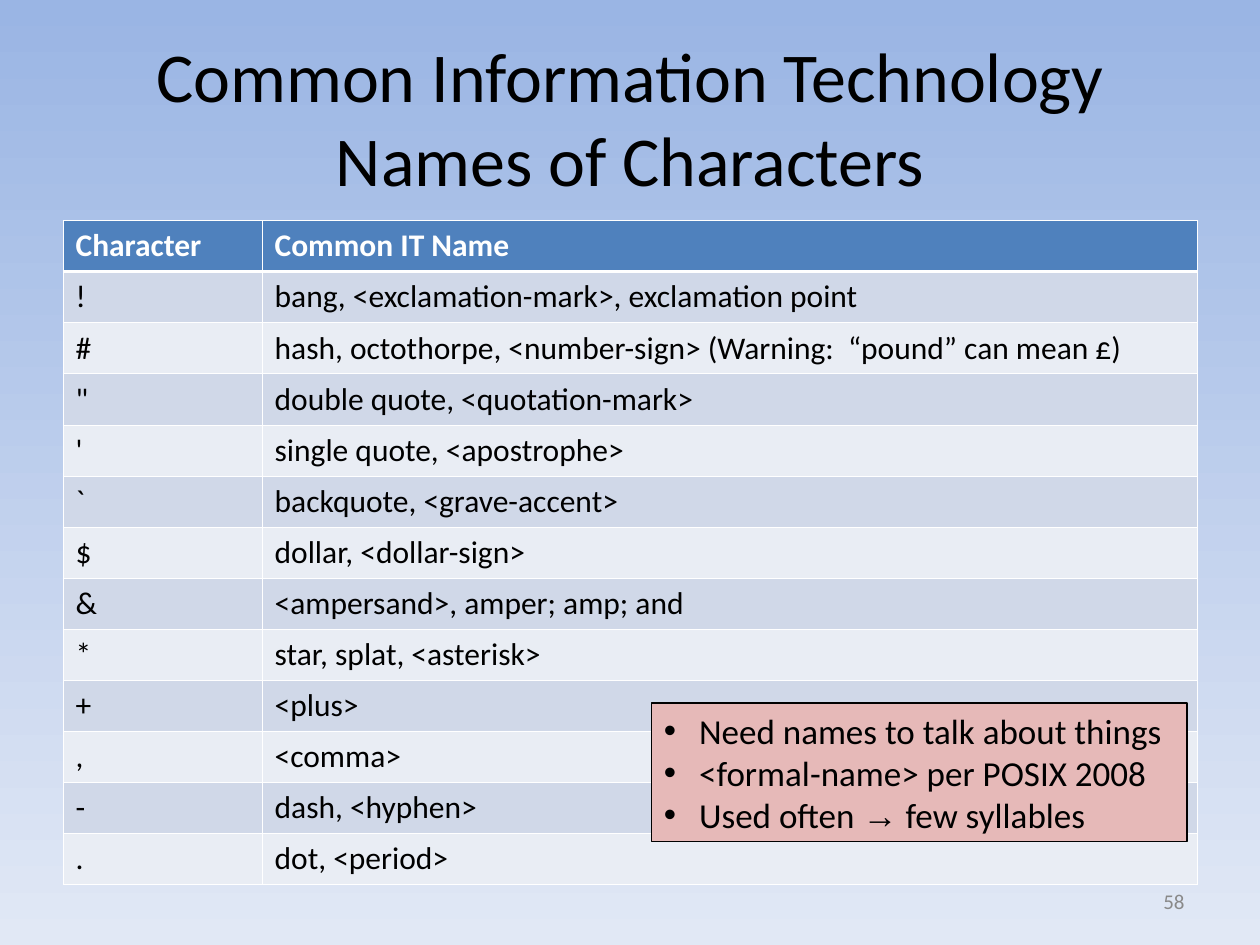
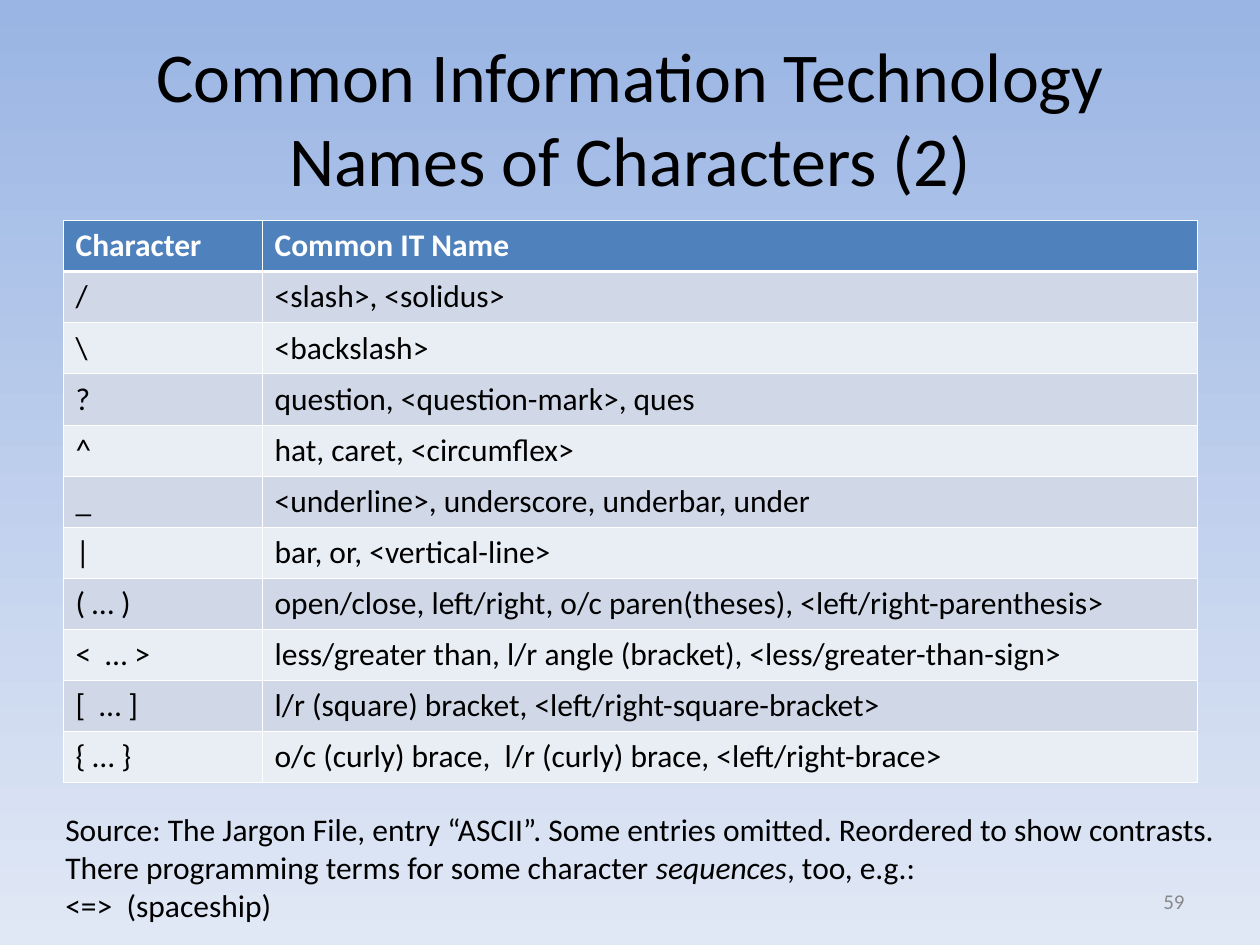
from pptx import Presentation
from pptx.dml.color import RGBColor
from pptx.enum.shapes import MSO_SHAPE as Shape
from pptx.enum.text import MSO_ANCHOR as Anchor, MSO_AUTO_SIZE as Fit, PP_ALIGN as Align
from pptx.oxml.ns import qn
from pptx.util import Inches, Pt
from lxml.etree import SubElement

# Shared style
BLACK = RGBColor(0x00, 0x00, 0x00)
WHITE = RGBColor(0xFF, 0xFF, 0xFF)
GRAY = RGBColor(0x89, 0x89, 0x89)
SKY = RGBColor(0x9A, 0xB5, 0xE4)
MIST = RGBColor(0xE1, 0xE8, 0xF5)
HEAD = RGBColor(0x4F, 0x81, 0xBD)
BANDS = [RGBColor(0xE9, 0xED, 0xF4), RGBColor(0xD0, 0xD8, 0xE8)]
PINK = RGBColor(0xE6, 0xB9, 0xB8)
FONT = "Calibri"
HAIR, THICK = 0.45, 1.47
ROW = 0.405
COLS = [1.58, 7.42]
LABELS = ("Character", "Common IT Name")

# Page number, title and table rows of each slide
PAGES = [
    (58, "Common Information Technology Names of Characters", [
        ("!", "bang, <exclamation-mark>, exclamation point"),
        ("#", "hash, octothorpe, <number-sign> (Warning:  “pound” can mean £)"),
        ('"', "double quote, <quotation-mark>"),
        ("'", "single quote, <apostrophe>"),
        ("`", "backquote, <grave-accent>"),
        ("$", "dollar, <dollar-sign>"),
        ("&", "<ampersand>, amper; amp; and"),
        ("*", "star, splat, <asterisk>"),
        ("+", "<plus>"),
        (",", "<comma>"),
        ("-", "dash, <hyphen>"),
        (".", "dot, <period>"),
    ]),
    (59, "Common Information Technology Names of Characters (2)", [
        ("/", "<slash>, <solidus>"),
        ("\\", "<backslash>"),
        ("?", "question, <question-mark>, ques"),
        ("^", "hat, caret, <circumflex>"),
        ("_", "<underline>, underscore, underbar, under"),
        ("|", "bar, or, <vertical-line>"),
        ("( … )", "open/close, left/right, o/c paren(theses), <left/right-parenthesis>"),
        ("<  … >", "less/greater than, l/r angle (bracket), <less/greater-than-sign>"),
        ("[  … ]", "l/r (square) bracket, <left/right-square-bracket>"),
        ("{ … }", "o/c (curly) brace,  l/r (curly) brace, <left/right-brace>"),
    ]),
]

POINTS = [
    ["Need names to talk about things"],
    ["<formal-name> per POSIX 2008"],
    ["Used often ", "→", " few syllables"],
]
NOTES = [
    ["Source: The Jargon File, entry “ASCII”. Some entries omitted. Reordered to show contrasts."],
    ["There programming terms for some character ", "sequences", ", too, e.g.:"],
    ["<=>  (spaceship)"],
]


def add_run(par, text, size, color=BLACK, bold=False):
    run = par.add_run()
    run.text = text
    run.font.name = "Arial" if text == "→" else FONT
    run.font.size = Pt(size)
    run.font.color.rgb = color
    run.font.bold = bold
    run.font.italic = text == "sequences"


def add_edge(cell, side, width):
    line = SubElement(cell._tc.get_or_add_tcPr(), qn("a:ln" + side), w=str(Pt(width)))
    fill = SubElement(line, qn("a:solidFill"))
    SubElement(fill, qn("a:srgbClr"), val=str(WHITE))


deck = Presentation()
deck.slide_width, deck.slide_height = Inches(10), Inches(7.5)
slides = []

for number, heading, names in PAGES:
    slide = deck.slides.add_slide(deck.slide_layouts[5])
    slides.append(slide)

    # Background
    back = slide.background.fill
    back.gradient()
    back.gradient_angle = 270
    for stop, color, place in zip(back.gradient_stops, (SKY, MIST), (0, 1)):
        stop.color.rgb = color
        stop.position = place

    # Title
    title = slide.shapes.title
    title.left, title.top = Inches(0.5), Inches(0.3)
    title.width, title.height = Inches(9), Inches(1.25)
    frame = title.text_frame
    frame.auto_size = Fit.NONE
    frame.vertical_anchor = Anchor.MIDDLE
    frame.paragraphs[0].alignment = Align.CENTER
    add_run(frame.paragraphs[0], heading, 40)

    # Table of names
    rows = [LABELS] + names
    table = slide.shapes.add_table(len(rows), 2, Inches(0.5), Inches(1.75),
                                   Inches(9), Inches(ROW * len(rows))).table
    table.horz_banding = False
    for col, width in zip(table.columns, COLS):
        col.width = Inches(width)
    for i, row in enumerate(rows):
        top = i == 0
        for j, text in enumerate(row):
            cell = table.cell(i, j)
            for side in "LRTB":
                heavy = (i, side) in ((0, "B"), (1, "T"))
                add_edge(cell, side, THICK if heavy else HAIR)
            cell.fill.solid()
            cell.fill.fore_color.rgb = HEAD if top else BANDS[i % 2]
            add_run(cell.text_frame.paragraphs[0], text, 18, WHITE if top else BLACK, top)

    # Page number
    frame = slide.shapes.add_textbox(Inches(7.17), Inches(6.95), Inches(2.33), Inches(0.4)).text_frame
    frame.word_wrap = True
    frame.vertical_anchor = Anchor.MIDDLE
    frame.paragraphs[0].alignment = Align.RIGHT
    add_run(frame.paragraphs[0], str(number), 12, GRAY)

# Callout on the first slide
box = slides[0].shapes.add_shape(Shape.RECTANGLE, Inches(5.17), Inches(5.58), Inches(4.25), Inches(1.1))
box.shadow.inherit = False
box.fill.solid()
box.fill.fore_color.rgb = PINK
box.line.color.rgb = BLACK
box.line.width = Pt(1)
frame = box.text_frame
frame.word_wrap = True
frame.vertical_anchor = Anchor.TOP
for i, point in enumerate(POINTS):
    par = frame.add_paragraph() if i else frame.paragraphs[0]
    par.alignment = Align.LEFT
    props = par._p.get_or_add_pPr()
    props.set("marL", str(Inches(0.28)))
    props.set("indent", str(-Inches(0.28)))
    SubElement(SubElement(props, qn("a:buClr")), qn("a:srgbClr"), val=str(BLACK))
    SubElement(props, qn("a:buFont"), typeface="Arial")
    SubElement(props, qn("a:buChar"), char="•")
    for text in point:
        add_run(par, text, 20)

# Source notes on the second slide
frame = slides[1].shapes.add_textbox(Inches(0.42), Inches(6.38), Inches(9.44), Inches(1)).text_frame
frame.word_wrap = True
for i, note in enumerate(NOTES):
    par = frame.add_paragraph() if i else frame.paragraphs[0]
    for text in note:
        add_run(par, text, 18)

deck.save("out.pptx")
